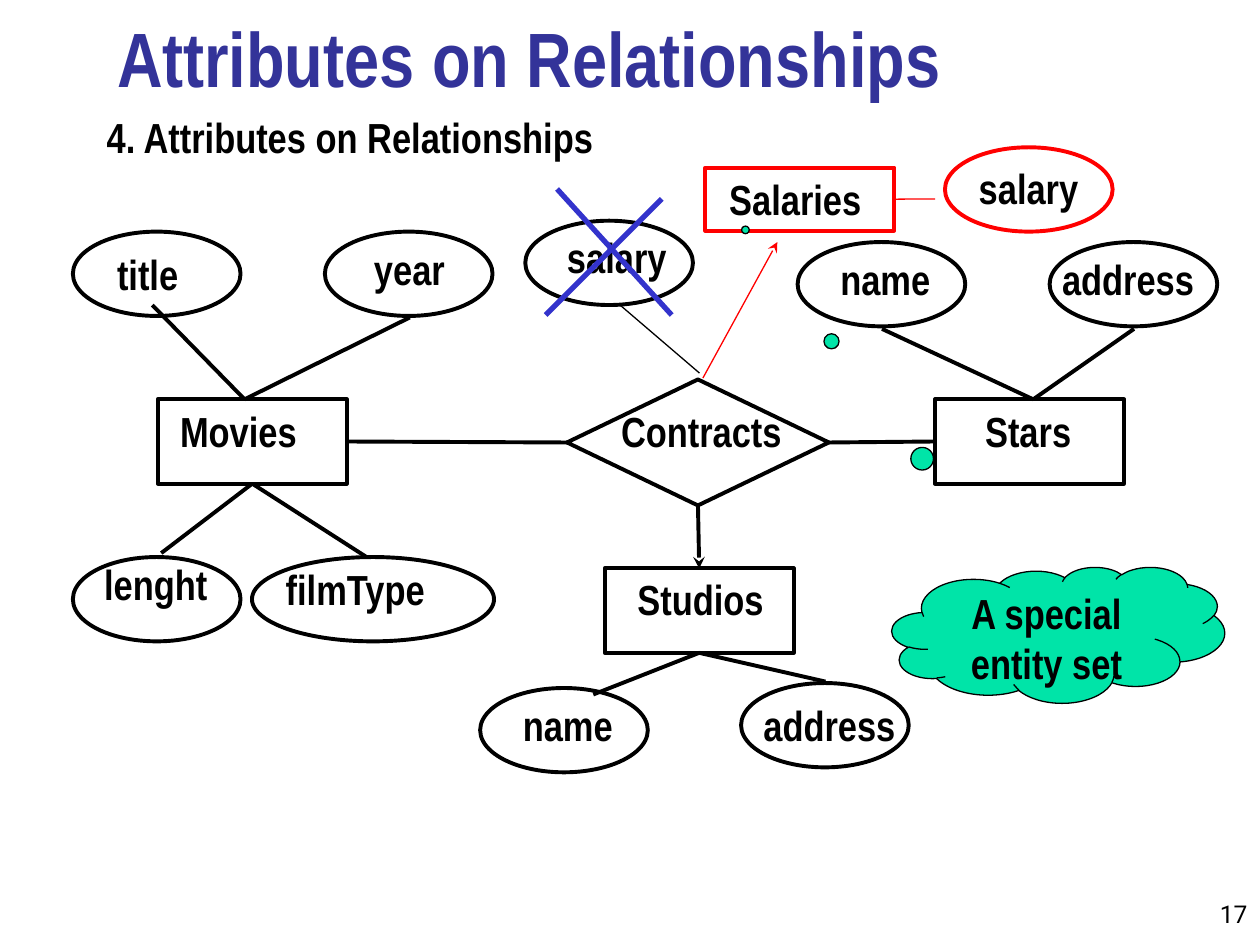
"""Build the slide on attributes of relationships in an entity-relationship diagram."""
import pptx
import pptx.dml.color
import pptx.enum.shapes
import pptx.enum.text
import pptx.oxml.ns
import pptx.util
from lxml import etree
from pptx.util import Cm, Pt

SHAPES = pptx.enum.shapes.MSO_SHAPE
ANCHOR = pptx.enum.text.MSO_ANCHOR
ALIGN = pptx.enum.text.PP_ALIGN
AUTO_SIZE = pptx.enum.text.MSO_AUTO_SIZE

COLORS = {"ink": "000000", "title": "333399", "cross": "3333CC",
          "new": "FF0000", "callout": "00E4A8"}
TOP, LEFT, BOTTOM, RIGHT = range(4)
BOX_WIDTH, OVAL_WIDTH, NODE_HEIGHT, LABEL_HEIGHT = 3.81, 3.38, 1.7, 1.27

BOXES = {
    "Movies": (SHAPES.RECTANGLE, 3.18, 8.05, BOX_WIDTH, NODE_HEIGHT, "ink"),
    "Stars": (SHAPES.RECTANGLE, 18.85, 8.05, BOX_WIDTH, NODE_HEIGHT, "ink"),
    "Contracts": (SHAPES.FLOWCHART_DECISION, 11.43, 7.65, 5.28, 2.54, "ink"),
    "Studios": (SHAPES.RECTANGLE, 12.19, 11.46, BOX_WIDTH, NODE_HEIGHT, "ink"),
    "Salaries": (SHAPES.RECTANGLE, 14.22, 3.38, BOX_WIDTH, 1.27, "new"),
}
OVALS = [
    (1.47, 4.67, OVAL_WIDTH, "ink"), (6.55, 4.67, OVAL_WIDTH, "ink"),
    (1.47, 11.23, OVAL_WIDTH, "ink"), (5.08, 11.23, 4.88, "ink"),
    (16.08, 4.88, OVAL_WIDTH, "ink"), (21.16, 4.88, OVAL_WIDTH, "ink"),
    (9.68, 13.87, OVAL_WIDTH, "ink"), (14.94, 13.77, OVAL_WIDTH, "ink"),
    (10.59, 4.45, OVAL_WIDTH, "ink"), (19.05, 2.97, OVAL_WIDTH, "new"),
]
LABELS = [
    ("Movies", 3.38, 8.05, 2.87), ("Stars", 19.61, 8.05, 2.26),
    ("Contracts", 12.27, 8.05, 3.76), ("Studios", 12.6, 11.43, 3.05),
    ("Salaries", 14.45, 3.38, 3.18), ("title", 2.11, 4.88, 1.75),
    ("year", 7.29, 4.78, 1.96), ("lenght", 1.85, 11.13, 2.59),
    ("filmType", 5.51, 11.23, 3.33), ("name", 16.69, 4.98, 2.34),
    ("address", 21.16, 4.98, 3.18), ("name", 10.29, 13.97, 2.34),
    ("address", 15.14, 13.97, 3.18), ("salary", 11.18, 4.55, 2.51),
    ("salary", 19.48, 3.15, 2.51),
]
MOVIES_TOP, STARS_TOP = (4.93, 8.05), (20.83, 8.05)
LINES = [
    (("Movies", BOTTOM), (3.25, 11.15), "ink", 2.25, False),
    (("Movies", BOTTOM), (7.39, 11.23), "ink", 2.25, False),
    (MOVIES_TOP, (3.07, 6.15), "ink", 2.25, False),
    (MOVIES_TOP, (8.26, 6.4), "ink", 2.25, False),
    (("Movies", RIGHT), ("Contracts", LEFT), "ink", 2.25, False),
    (("Contracts", RIGHT), ("Stars", LEFT), "ink", 2.25, False),
    (STARS_TOP, (17.78, 6.63), "ink", 2.25, False),
    (STARS_TOP, (22.86, 6.63), "ink", 2.25, False),
    (("Contracts", BOTTOM), ("Studios", TOP), "ink", 2.25, True),
    (("Studios", BOTTOM), (11.96, 14), "ink", 2.25, False),
    (("Studios", BOTTOM), (16.64, 13.74), "ink", 2.25, False),
    ((14.1, 7.52), (12.5, 6.15), "ink", 0.75, False),
    (("Salaries", RIGHT), (18.85, 4.01), "new", 0.75, False),
    ((14.17, 7.62), (15.67, 4.88), "new", 0.75, True),
    ((13.34, 4.01), (11, 6.35), "cross", 3, False),
    ((11.23, 3.81), (13.54, 6.35), "cross", 3, False),
]


def rgb(name):
    return pptx.dml.color.RGBColor.from_string(COLORS[name])


def write(shape, text, size=24, color="ink", font="Arial Narrow", bold=True,
          align=ALIGN.LEFT, anchor=ANCHOR.TOP, wrap=True):
    frame = shape.text_frame
    frame.word_wrap = wrap
    frame.vertical_anchor = anchor
    paragraph = frame.paragraphs[0]
    paragraph.text = text
    paragraph.alignment = align
    paragraph.font.size = Pt(size)
    paragraph.font.name = font
    paragraph.font.bold = bold
    paragraph.font.color.rgb = rgb(color)
    return frame


def add_text(slide, text, left, top, width, height, **style):
    box = slide.shapes.add_textbox(Cm(left), Cm(top), Cm(width), Cm(height))
    return write(box, text, **style)


def add_node(slide, kind, left, top, width, height, line, weight=2.25, fill=None):
    shape = slide.shapes.add_shape(kind, Cm(left), Cm(top), Cm(width), Cm(height))
    shape.shadow.inherit = False
    shape.line.color.rgb = rgb(line)
    shape.line.width = Pt(weight)
    if fill:
        shape.fill.solid()
        shape.fill.fore_color.rgb = rgb(fill)
    else:
        shape.fill.background()
    return shape


def add_line(slide, nodes, start, end, color, weight, arrow):
    connector = slide.shapes.add_connector(
        pptx.enum.shapes.MSO_CONNECTOR.STRAIGHT,
        *(Cm(0) if point[0] in nodes else Cm(value)
          for point in (start, end) for value in point))
    for point, connect in ((start, connector.begin_connect), (end, connector.end_connect)):
        if point[0] in nodes:
            connect(nodes[point[0]], point[1])
    connector.line.color.rgb = rgb(color)
    connector.line.width = Pt(weight)
    if arrow:
        etree.SubElement(connector.line._get_or_add_ln(),
                         pptx.oxml.ns.qn("a:tailEnd"), type="stealth")
    etree.SubElement(connector._element.spPr, pptx.oxml.ns.qn("a:effectLst"))


def main():
    presentation = pptx.Presentation()
    presentation.slide_width, presentation.slide_height = Cm(25.4), Cm(19.05)
    slide = presentation.slides.add_slide(presentation.slide_layouts[6])

    add_text(slide, "17", 23.7, 17.58, 1.7, 1.27, size=14, font="Roboto",
             bold=False, align=ALIGN.RIGHT, anchor=ANCHOR.BOTTOM)
    add_text(slide, "Attributes on Relationships", 2.11, 0.2, 21.64, 1.9,
             size=44, color="title", anchor=ANCHOR.MIDDLE)
    add_text(slide, "4. Attributes on Relationships", 1.9, 2.13, 16.41, LABEL_HEIGHT)

    nodes = {name: add_node(slide, *box) for name, box in BOXES.items()}
    for left, top, width, color in OVALS:
        add_node(slide, SHAPES.OVAL, left, top, width, NODE_HEIGHT, color)
    for text, left, top, width in LABELS:
        frame = add_text(slide, text, left, top, width, LABEL_HEIGHT, wrap=False)
        frame.auto_size = AUTO_SIZE.SHAPE_TO_FIT_TEXT
    for line in LINES:
        add_line(slide, nodes, *line)

    callout = add_node(slide, SHAPES.CLOUD_CALLOUT, 17.98, 11.43, 6.71, 2.74,
                       "ink", 0.75, "callout")
    callout.adjustments[0], callout.adjustments[1] = -0.94, -2.98
    frame = write(callout, "A special entity set", align=ALIGN.CENTER)
    frame.margin_left = frame.margin_right = frame.margin_top = frame.margin_bottom = 0

    presentation.save("out.pptx")


if __name__ == "__main__":
    main()
